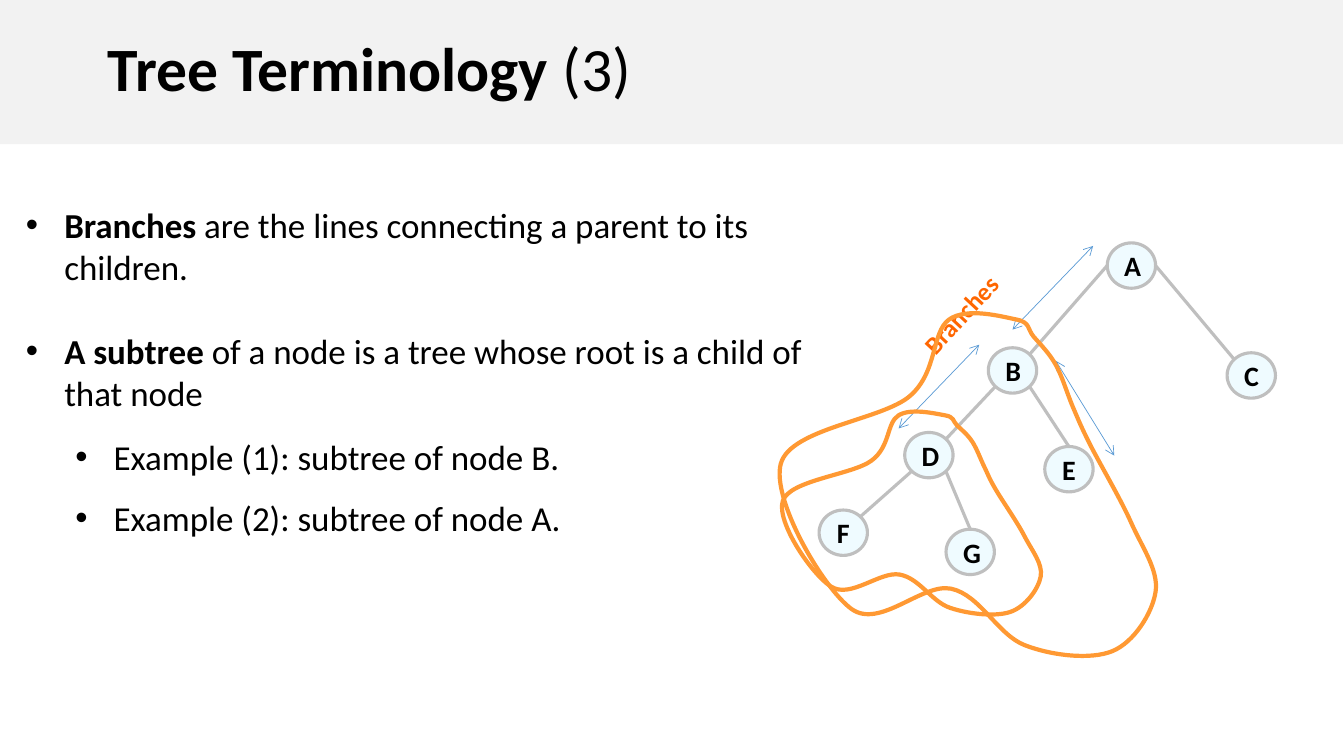
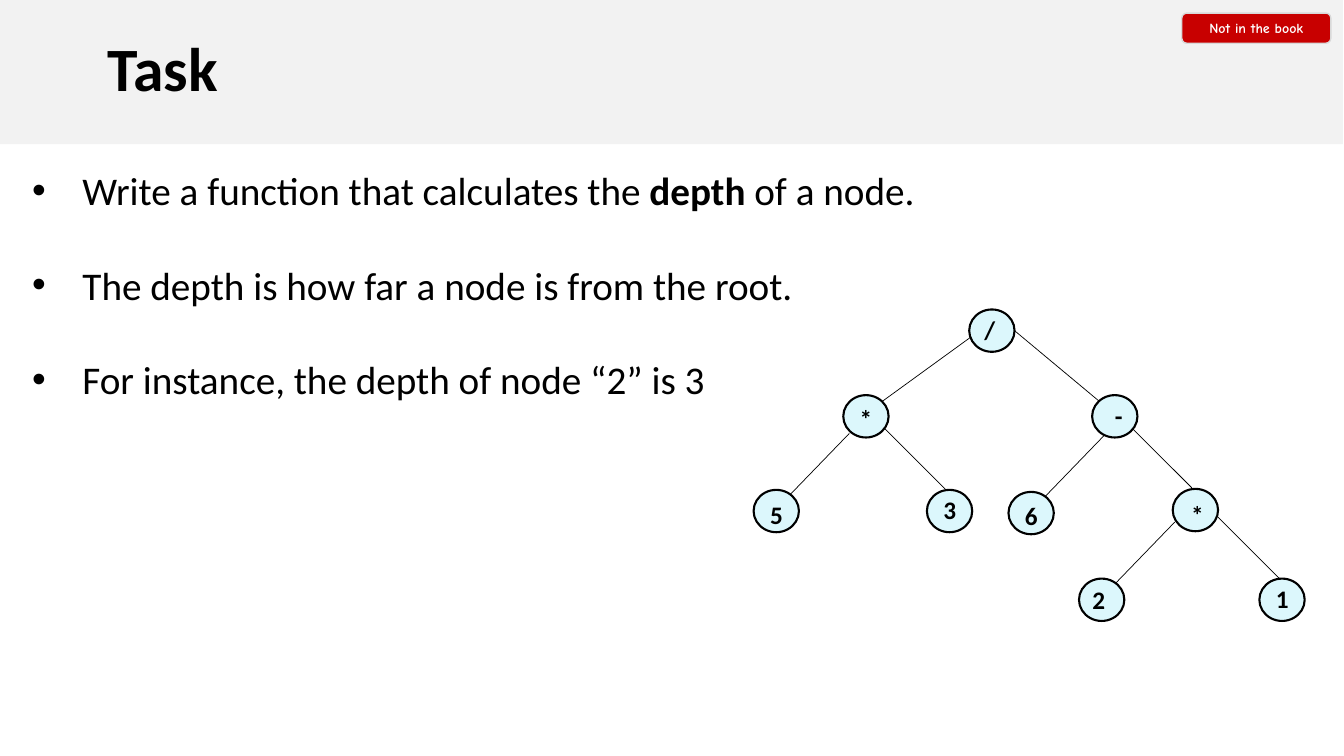
from lxml.etree import SubElement
from pptx import Presentation
from pptx.dml.color import RGBColor
from pptx.enum.shapes import MSO_CONNECTOR, MSO_SHAPE
from pptx.enum.text import MSO_ANCHOR, PP_ALIGN
from pptx.oxml.ns import qn
from pptx.util import Inches, Pt

FONT = "Calibri"
BLACK, WHITE, BAND = "000000", "FFFFFF", "F2F2F2"
GRAY, BLUE, ORANGE, LABEL_ORANGE = "BFBFBF", "5B9BD5", "FF9933", "FF6600"
PALE, CYAN, RED, BADGE_LINE = "EFFBFF", "DCF7FC", "C80000", "D9D9D9"

# Runs are (text, bold)
TERMS_TITLE = [("Tree Terminology ", True), ("(3)", False)]
TERMS_BULLETS = [  # box, runs
    ((0.16, 1.97, 8.47, 0.94),
     [("Branches ", True), ("are the lines connecting a parent to its children.", False)]),
    ((0.16, 3.22, 8.47, 0.94),
     [("A subtree ", True),
      ("of a node is a tree whose root is a child of that node", False)]),
    ((0.65, 4.27, 5.2, 0.52), [("Example (1): subtree of node B.", False)]),
    ((0.65, 4.88, 5.2, 0.52), [("Example (2): subtree of node A.", False)]),
]
TERMS_NODE = (0.48, 0.45)
TERMS_NODES = {
    "A": (10.99, 2.41), "B": (9.81, 3.45), "C": (12.18, 3.5), "D": (8.98, 4.29),
    "E": (10.37, 4.43), "F": (8.13, 5.06), "G": (9.39, 5.25),
}
SITES = {  # points on an ellipse, as fractions of its box
    "top": (0.5, 0), "left": (0, 0.5), "right": (1, 0.5),
    "top left": (0.15, 0.15), "top right": (0.85, 0.15),
    "bottom left": (0.15, 0.85), "bottom right": (0.85, 0.85),
}
TERMS_EDGES = [
    ("A", "left", "B", "top right"), ("A", "right", "C", "top left"),
    ("B", "bottom left", "D", "top right"), ("B", "bottom right", "E", "top"),
    ("D", "bottom left", "F", "top right"), ("D", "bottom right", "G", "top"),
]
BRANCH_ARROWS = [
    ((10.85, 2.44), (10.05, 3.27)), ((9.72, 3.42), (8.92, 4.25)),
    ((11.06, 4.52), (10.48, 3.58)),
]
SUBTREE_LOOPS = [
    [(8.92, 4.12), (8.65, 4.57), (7.77, 4.97), (8.25, 5.82), (8.93, 5.7), (9.43, 6.03),
     (10.03, 6.07), (10.33, 5.72), (10.17, 5.32), (9.88, 4.85), (9.77, 4.63),
     (9.65, 4.38), (9.5, 4.22), (9.38, 4.12)],
    [(9.42, 3.17), (9.03, 3.93), (7.75, 4.6), (8.45, 6.04), (9.44, 5.84), (10.17, 6.4),
     (11.04, 6.46), (11.47, 5.87), (11.23, 5.19), (10.82, 4.41), (10.65, 4.04),
     (10.48, 3.62), (10.26, 3.34), (10.09, 3.17)],
]

TASK_TITLE = [("Task", True)]
TASK_BULLETS = [
    [("Write a function that calculates the ", False), ("depth", True),
     (" of a node.", False)],
    [("The depth is how far a node is from the root.", False)],
    [("For instance, the depth of node “2” is 3", False)],
]
TASK_NODE = (0.45, 0.42)
TASK_LABEL = (0.32, 0.4)
TASK_NODES = [  # label, node corner, label shift
    ("/", (9.62, 3.07), (-0.02, 0)), ("3", (9.2, 4.86), (0, 0)),
    ("*", (8.37, 3.92), (0, 0.03)), ("5", (7.48, 4.86), (0, 0.04)),
    ("6", (10.01, 4.88), (0, 0.03)), ("*", (11.64, 4.85), (0.02, 0.05)),
    ("-", (10.84, 3.92), (0.04, 0)), ("2", (10.71, 5.74), (-0.03, 0.01)),
    ("1", (12.5, 5.74), (0, 0)),
]
ROOT_EDGES = [((9.67, 3.32), (8.76, 3.98)), ((10.07, 3.28), (10.91, 3.98))]
LOWER_EDGES = [  # step, starts
    ((-0.59, 0.61), [(8.43, 4.3), (10.96, 4.32), (11.66, 5.18)]),
    ((0.61, 0.61), [(8.78, 4.25), (11.22, 4.23), (12.09, 5.13)]),
]


def rgb(color):
    return RGBColor.from_string(color)


def inches(values):
    return [Inches(v) for v in values]


def add_runs(p, runs, size, color=BLACK, font=FONT):
    for text, bold in runs:
        r = p.add_run()
        r.text = text
        r.font.name, r.font.size, r.font.bold = font, Pt(size), bold
        r.font.color.rgb = rgb(color)


def add_box(shapes, kind, at, fill, line=None, width=1):
    sp = shapes.add_shape(kind, *inches(at))
    sp.shadow.inherit = False
    sp.fill.solid()
    sp.fill.fore_color.rgb = rgb(fill)
    if line:
        sp.line.color.rgb = rgb(line)
        sp.line.width = Pt(width)
    else:
        sp.line.fill.background()
    sp.text_frame.vertical_anchor = MSO_ANCHOR.MIDDLE
    return sp


def add_label(shapes, at, text, color=BLACK):
    sp = shapes.add_textbox(*inches(at))
    sp.text_frame.word_wrap = False
    p = sp.text_frame.paragraphs[0]
    p.alignment = PP_ALIGN.CENTER
    add_runs(p, [(text, True)], 18, color)
    return sp


def add_line(slide, start, end, color, width, arrows=False):
    line = slide.shapes.add_connector(
        MSO_CONNECTOR.STRAIGHT, *inches(start), *inches(end))
    line.line.color.rgb = rgb(color)
    line.line.width = Pt(width)
    props = line._element.spPr
    if arrows:
        for tag in ("a:headEnd", "a:tailEnd"):
            SubElement(props.find(qn("a:ln")), qn(tag), type="arrow")
    SubElement(props, qn("a:effectLst"))


def add_bullets(slide, at, items, size, indent, gap=0):
    tf = slide.shapes.add_textbox(*inches(at)).text_frame
    tf.word_wrap = True
    for i, runs in enumerate(items):
        p = tf.paragraphs[0] if i == 0 else tf.add_paragraph()
        p.space_before = Pt(gap if i else 0)
        props = p._p.get_or_add_pPr()
        props.set("marL", str(Inches(indent)))
        props.set("indent", str(-Inches(indent)))
        SubElement(SubElement(props, qn("a:buClr")), qn("a:srgbClr"), val=BLACK)
        SubElement(props, qn("a:buFont"), typeface="Arial")
        SubElement(props, qn("a:buChar"), char="•")
        add_runs(p, runs, size)


def add_loop(slide, points):
    """Draw a closed smooth curve: each point's tangent runs parallel to its neighbours."""
    pts = [inches(pt) for pt in points]
    builder = slide.shapes.build_freeform(*pts[0])
    builder.add_line_segments(pts[1:] + pts[:1], close=True)
    sp = builder.convert_to_shape()
    sp.shadow.inherit = False
    sp.fill.background()
    sp.line.color.rgb = rgb(ORANGE)
    sp.line.width = Pt(3)
    n = len(pts)
    for i, segment in enumerate(list(sp._element.iter(qn("a:lnTo")))):
        before, start, end, after = (pts[(i + k) % n] for k in (-1, 0, 1, 2))
        leave = [s + (e - b) / 6 for b, s, e in zip(before, start, end)]
        arrive = [e - (a - s) / 6 for s, e, a in zip(start, end, after)]
        curve = SubElement(segment.getparent(), qn("a:cubicBezTo"))
        for x, y in (leave, arrive, end):
            SubElement(curve, qn("a:pt"), x=str(round(x - sp.left)),
                       y=str(round(y - sp.top)))
        segment.getparent().replace(segment, curve)


def add_titled_slide(prs, title):
    slide = prs.slides.add_slide(prs.slide_layouts[6])
    band = add_box(slide.shapes, MSO_SHAPE.RECTANGLE, (0, 0, 13.33, 1.43), BAND)
    band.text_frame.margin_left = Inches(1.07)
    p = band.text_frame.paragraphs[0]
    p.alignment = PP_ALIGN.LEFT
    p.line_spacing = 0.9
    add_runs(p, title, 44)
    return slide


def site(name, side):
    return [c + f * d for c, f, d in zip(TERMS_NODES[name], SITES[side], TERMS_NODE)]


def build_terms(prs):
    slide = add_titled_slide(prs, TERMS_TITLE)
    for at, runs in TERMS_BULLETS:
        add_bullets(slide, at, [runs], 25, 0.38)
    for parent, start, child, end in TERMS_EDGES:
        add_line(slide, site(parent, start), site(child, end), GRAY, 2.25)
    for name, corner in TERMS_NODES.items():
        node = add_box(slide.shapes, MSO_SHAPE.OVAL, corner + TERMS_NODE, PALE, GRAY, 2.25)
        p = node.text_frame.paragraphs[0]
        p.alignment = PP_ALIGN.CENTER
        add_runs(p, [(name, True)], 20)
    for start, end in BRANCH_ARROWS:
        add_line(slide, start, end, BLUE, 0.5, arrows=True)
    label = add_label(slide.shapes, (8.96, 2.92, 1.15, 0.4), "Branches", LABEL_ORANGE)
    label.rotation = 312.9
    for points in SUBTREE_LOOPS:
        add_loop(slide, points)


def build_task(prs):
    slide = add_titled_slide(prs, TASK_TITLE)
    add_bullets(slide, (0.22, 1.6, 11.71, 2.44), TASK_BULLETS, 28, 0.5, gap=34)
    badge = add_box(slide.shapes, MSO_SHAPE.ROUNDED_RECTANGLE, (11.73, 0.13, 1.48, 0.3),
                    RED, BADGE_LINE)
    p = badge.text_frame.paragraphs[0]
    p.alignment = PP_ALIGN.CENTER
    add_runs(p, [("Not in the book", True)], 10, WHITE, "Comic Neue")

    for start, end in ROOT_EDGES:
        add_line(slide, start, end, BLACK, 0.5)
    for (dx, dy), starts in LOWER_EDGES:
        for x, y in starts:
            add_line(slide, (x, y), (x + dx, y + dy), BLACK, 0.5)
    for text, (x, y), (dx, dy) in TASK_NODES:
        group = slide.shapes.add_group_shape()
        add_box(group.shapes, MSO_SHAPE.OVAL, (x, y) + TASK_NODE, CYAN, BLACK, 1.5)
        left = x + (TASK_NODE[0] - TASK_LABEL[0]) / 2 + dx
        add_label(group.shapes, (left, y + dy) + TASK_LABEL, text)


def main():
    prs = Presentation()
    prs.slide_width, prs.slide_height = Inches(13.34), Inches(7.5)
    build_terms(prs)
    build_task(prs)
    prs.save("out.pptx")


if __name__ == "__main__":
    main()
